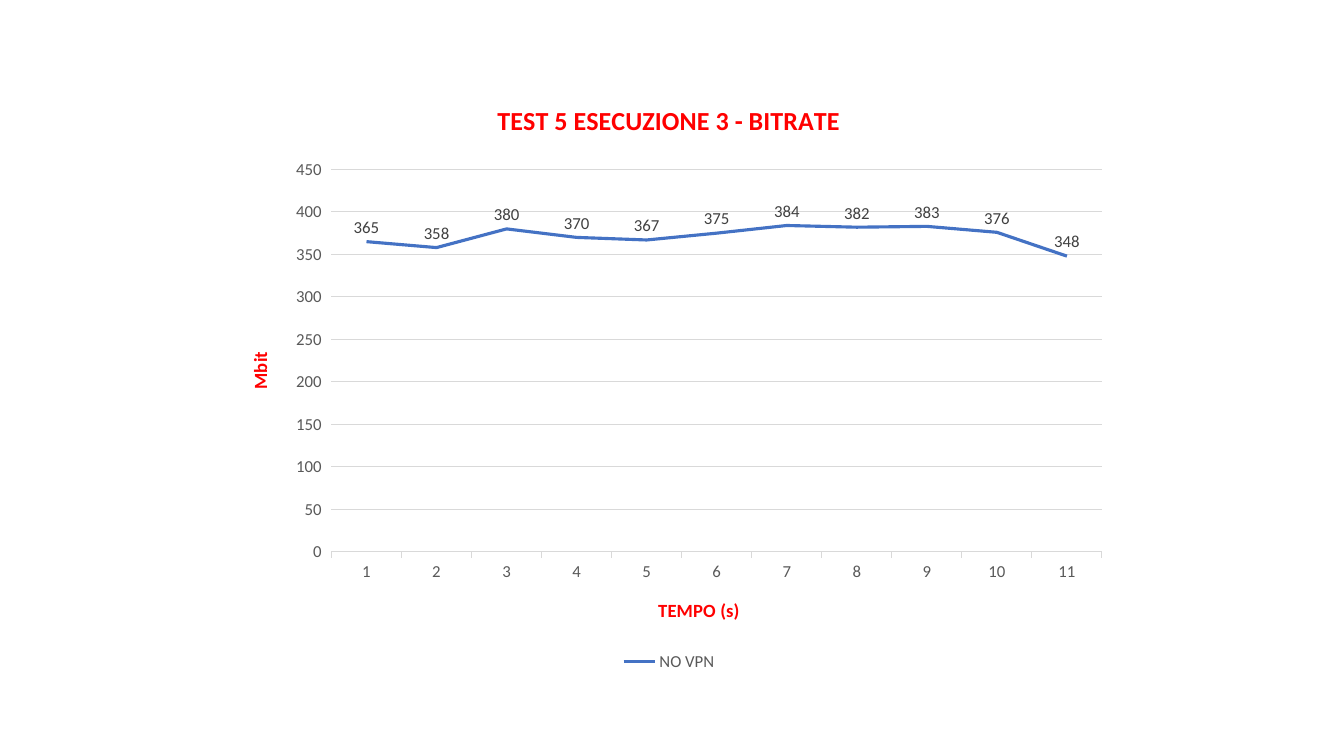
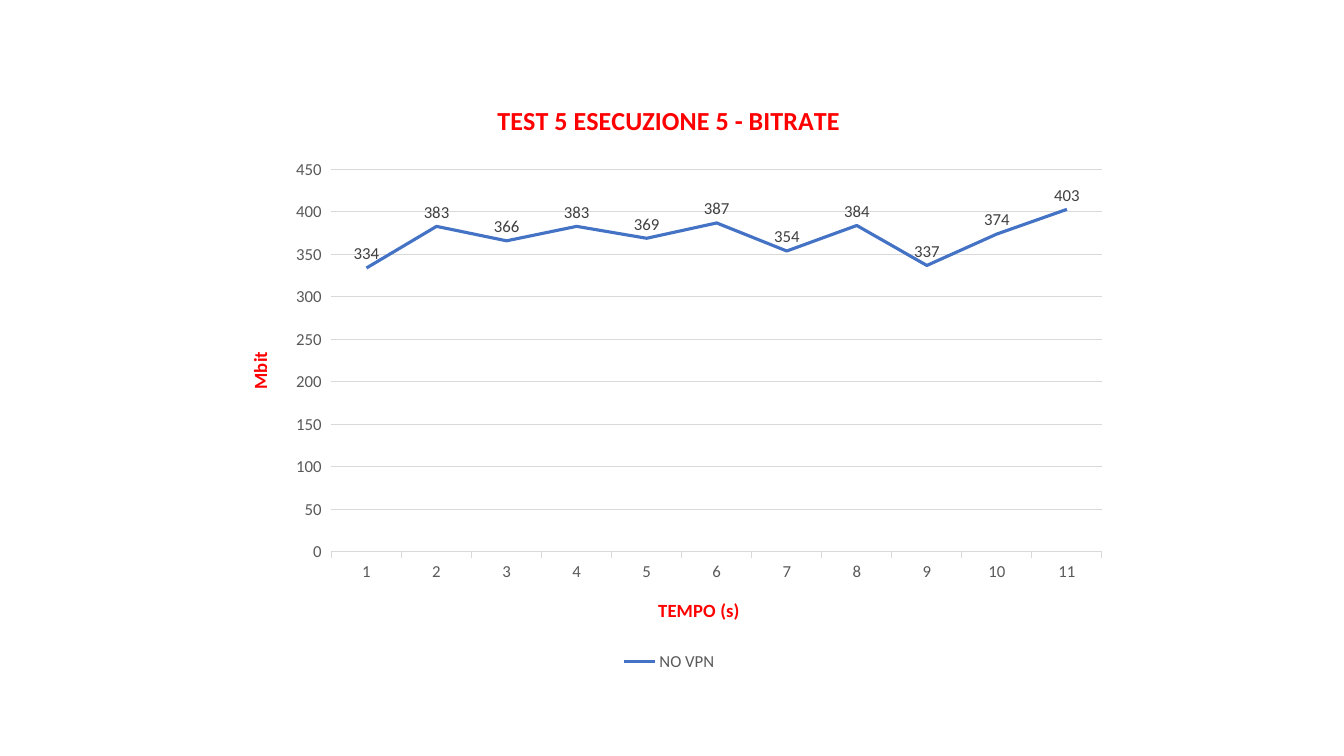
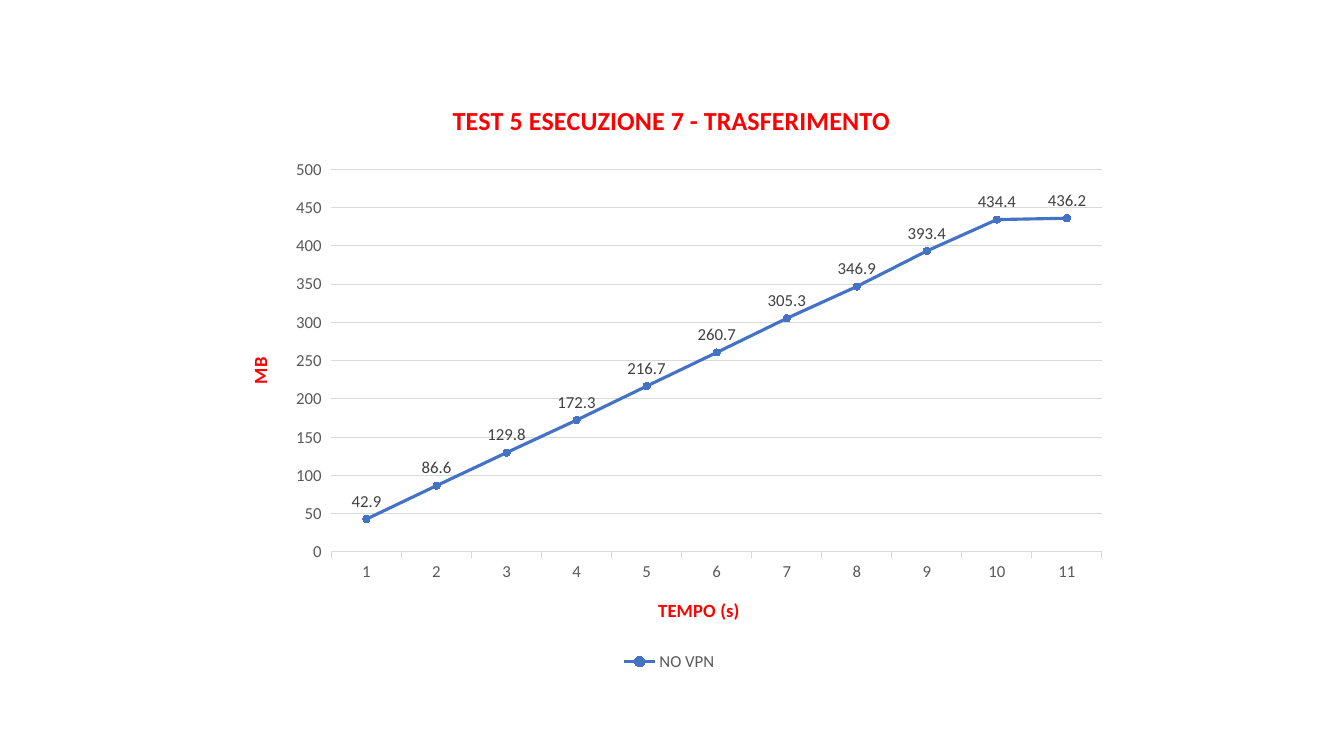
from lxml.etree import SubElement
from pptx import Presentation
from pptx.chart.data import CategoryChartData
from pptx.dml.color import RGBColor
from pptx.enum.chart import (XL_CHART_TYPE, XL_LABEL_POSITION,
                             XL_LEGEND_POSITION, XL_MARKER_STYLE,
                             XL_TICK_MARK)
from pptx.oxml.ns import qn
from pptx.util import Pt

RED = RGBColor(0xFF, 0x00, 0x00)
BLUE = RGBColor(0x44, 0x72, 0xC4)
BLACK = RGBColor(0x00, 0x00, 0x00)
DARK = RGBColor(0x40, 0x40, 0x40)
GREY = RGBColor(0x59, 0x59, 0x59)
PALE = RGBColor(0xD9, 0xD9, 0xD9)
FACE = "Calibri"


def style(font, size, color, bold=False):
    font.name = FACE
    font.size = Pt(size)
    font.bold = bold
    font.color.rgb = color


def place(part, index, **spots):
    """Fix a chart part at fractions of the chart's width and height."""
    for old in part.findall(qn("c:layout")):
        part.remove(old)
    layout = SubElement(part, qn("c:layout"))
    part.insert(index, layout)
    manual = SubElement(layout, qn("c:manualLayout"))
    if "w" in spots:
        SubElement(manual, qn("c:layoutTarget")).set("val", "inner")
    for side in ("xMode", "yMode"):
        SubElement(manual, qn("c:" + side)).set("val", "edge")
    for side, share in spots.items():
        SubElement(manual, qn("c:" + side)).set("val", str(share))


# title, left of title, unit, markers, values
TESTS = [
    ("TEST 5 ESECUZIONE 3 - BITRATE", 0.30, "Mbit", False,
     [365, 358, 380, 370, 367, 375, 384, 382, 383, 376, 348]),
    ("TEST 5 ESECUZIONE 5 - BITRATE", 0.30, "Mbit", False,
     [334, 383, 366, 383, 369, 387, 354, 384, 337, 374, 403]),
    ("TEST 5 ESECUZIONE 7 - TRASFERIMENTO", 0.25, "MB", True,
     [42.9, 86.6, 129.8, 172.3, 216.7, 260.7, 305.3, 346.9, 393.4, 434.4,
      436.2]),
]

deck = Presentation()
deck.slide_width = Pt(960)
deck.slide_height = Pt(540)

for title, left, unit, marked, values in TESTS:
    slide = deck.slides.add_slide(deck.slide_layouts[6])
    data = CategoryChartData()
    data.categories = [str(n) for n in range(1, len(values) + 1)]
    data.add_series("NO VPN", values)
    kind = XL_CHART_TYPE.LINE_MARKERS if marked else XL_CHART_TYPE.LINE
    chart = slide.shapes.add_chart(
        kind, Pt(160), Pt(57), Pt(640), Pt(427), data).chart
    style(chart.font, 10, BLACK)

    # Titles of the chart and its axes
    time, scale = chart.category_axis, chart.value_axis
    for owner, text, size in [(chart.chart_title, title, 18.6),
                              (time.axis_title, "TEMPO (s)", 13.3),
                              (scale.axis_title, unit, 13.3)]:
        run = owner.text_frame.paragraphs[0].add_run()
        run.text = text
        style(run.font, size, RED, True)
    turn = scale.axis_title.text_frame._txBody.bodyPr
    turn.set("rot", "-5400000")
    turn.set("vert", "horz")
    chart.chart_title.include_in_layout = False
    place(chart.chart_title._element, 1, x=left, y=0.03)

    # Axes and grid
    for axis in (time, scale):
        axis.major_tick_mark = XL_TICK_MARK.OUTSIDE
        axis.minor_tick_mark = XL_TICK_MARK.NONE
        style(axis.tick_labels.font, 12, GREY)
    time.format.line.color.rgb = PALE
    time.format.line.width = Pt(0.75)
    scale.format.line.fill.background()
    scale.minimum_scale = 0
    scale.has_major_gridlines = True
    grid = scale.major_gridlines.format.line
    grid.color.rgb = PALE
    grid.width = Pt(0.75)
    place(chart._chartSpace.chart.plotArea, 0,
          x=0.12, y=0.15, w=0.86, h=0.64)

    # Legend
    chart.has_legend = True
    legend = chart.legend
    legend.position = XL_LEGEND_POSITION.BOTTOM
    legend.include_in_layout = False
    style(legend.font, 12, GREY)
    place(legend._element, 1, x=0.44, y=0.95)

    # Line and value labels
    plot = chart.plots[0]
    plot.vary_by_categories = False
    line = plot.series[0]
    line.smooth = False
    line.format.line.color.rgb = BLUE
    line.format.line.width = Pt(2.25)
    if marked:
        line.marker.style = XL_MARKER_STYLE.CIRCLE
        line.marker.size = 5
        line.marker.format.fill.solid()
        line.marker.format.fill.fore_color.rgb = BLUE
        line.marker.format.line.color.rgb = BLUE
    labels = line.data_labels
    labels.show_value = True
    labels.position = XL_LABEL_POSITION.ABOVE
    style(labels.font, 12, DARK)

deck.save("out.pptx")
